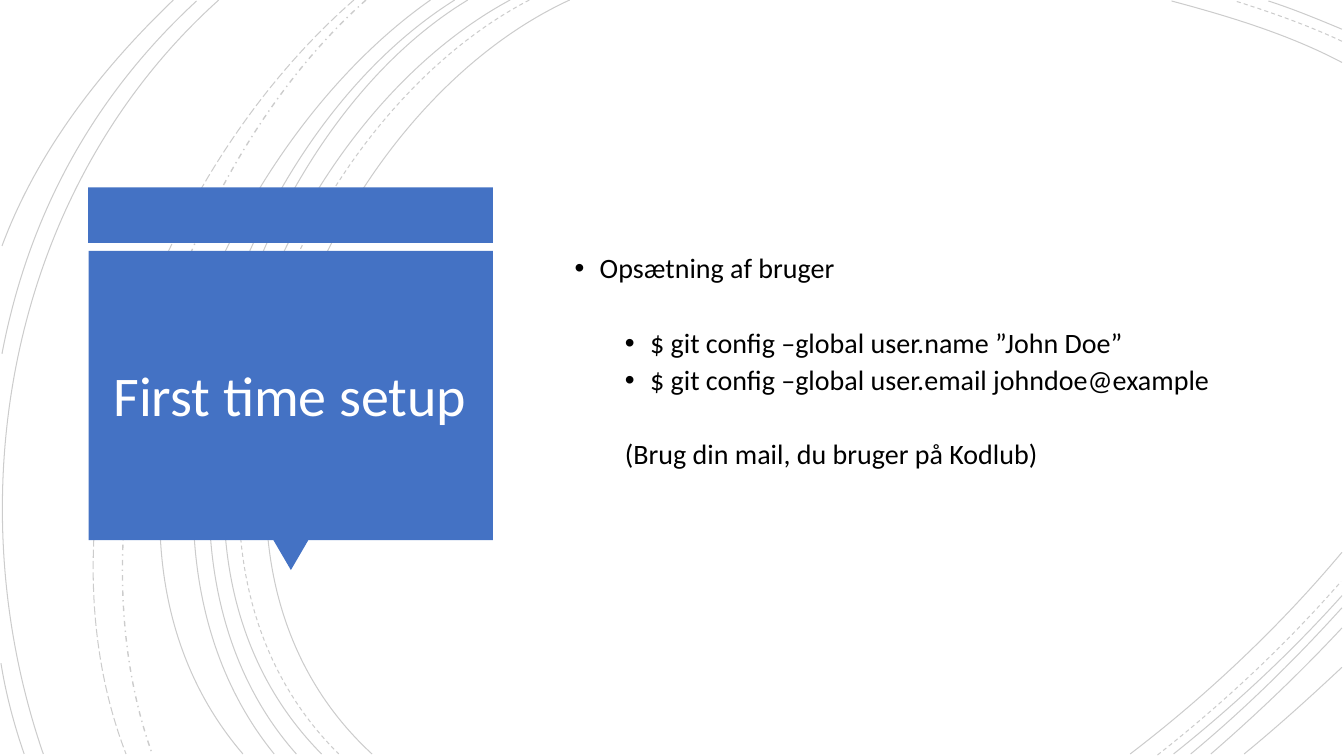
from dataclasses import dataclass
from typing import Optional

import lxml.etree
import pptx
import pptx.dml.color
import pptx.enum.dml
import pptx.enum.shapes
import pptx.enum.text
import pptx.oxml.ns
import pptx.util

BLUE = pptx.dml.color.RGBColor(0x44, 0x72, 0xC4)
BLACK = pptx.dml.color.RGBColor(0, 0, 0)
WHITE = pptx.dml.color.RGBColor(0xFF, 0xFF, 0xFF)

SLIDE_W, SLIDE_H = pptx.util.Inches(13.33), pptx.util.Inches(7.5)
COLUMNS, ROWS = 1333, 750  # fine layout grid; all places count its cells
FONT = "Calibri"
ARC_ALPHA = 20

DASH = pptx.enum.dml.MSO_LINE
SHAPE = pptx.enum.shapes.MSO_SHAPE
ALIGN = pptx.enum.text.PP_ALIGN
ANCHOR = pptx.enum.text.MSO_ANCHOR
qn = pptx.oxml.ns.qn


@dataclass
class Arc:
    """Cubic curve: start, two control points and end, as grid cells."""
    start: tuple[int, int]
    c1: tuple[int, int]
    c2: tuple[int, int]
    end: tuple[int, int]
    dash: Optional[DASH] = None
    width: float = 0.75


@dataclass
class Block:
    kind: SHAPE
    left: float
    top: float
    width: float
    height: float
    rotation: int = 0


@dataclass
class Line:
    text: str
    margin: float
    before: float
    bullet: bool = True


ARCS = [
    # inner band, left side
    Arc((565, 0), (315, 115), (143, 540), (369, 748)),
    Arc((525, 0), (285, 125), (123, 537), (336, 748), DASH.DASH),
    Arc((506, 0), (270, 127), (110, 537), (319, 748)),
    Arc((464, 0), (244, 133), (110, 541), (294, 748)),
    Arc((451, 0), (231, 138), (97, 533), (272, 748)),
    Arc((427, 0), (217, 147), (53, 529), (241, 748)),
    Arc((363, 0), (176, 166), (65, 509), (151, 748), DASH.DASH_DOT, 1),
    Arc((351, 0), (157, 169), (29, 499), (125, 748), DASH.LONG_DASH),
    # outer band, left edge
    Arc((217, 0), (11, 185), (-46, 490), (43, 748)),
    Arc((195, 1), (92, 96), (28, 214), (2, 351)),
    Arc((1, 658), (6, 689), (14, 719), (24, 748)),
    Arc((172, 0), (100, 69), (37, 150), (2, 244)),
    # top right corner
    Arc((1331, 62), (1278, 34), (1218, 16), (1162, 1)),
    Arc((1331, 41), (1297, 25), (1260, 12), (1225, 1), DASH.DASH),
    Arc((1331, 29), (1307, 19), (1283, 9), (1258, 1)),
    # bottom right corner
    Arc((1121, 748), (1197, 690), (1269, 622), (1331, 548)),
    Arc((1148, 749), (1213, 698), (1275, 640), (1330, 577), DASH.DASH),
    Arc((1164, 748), (1223, 701), (1280, 648), (1331, 591)),
    Arc((1181, 748), (1234, 704), (1284, 655), (1331, 603)),
    Arc((1201, 748), (1246, 709), (1290, 667), (1331, 623)),
    Arc((1234, 748), (1267, 721), (1299, 692), (1331, 662)),
]

CALLOUT = [
    Block(SHAPE.RECTANGLE, 87.5, 186, 401.5, 55),
    Block(SHAPE.ISOSCELES_TRIANGLE, 271, 535.5, 35, 30, 180),
    Block(SHAPE.RECTANGLE, 88, 249, 401, 287),
]

# A gap is one skipped 20 pt line plus the usual 5 pt.
STEP, GAP = 5, 31.5
BODY = [
    Line("Opsætning af bruger", 0.25, 10),
    Line("$ git config –global user.name ”John Doe”", 0.75, GAP),
    Line("$ git config –global user.email johndoe@example", 0.75, STEP),
    Line("(Brug din mail, du bruger på Kodlub)", 0.5, GAP, bullet=False),
]


def col(n: float) -> int:
    return round(SLIDE_W * n / COLUMNS)


def row(n: float) -> int:
    return round(SLIDE_H * n / ROWS)


def draw_arc(s: pptx.slide.Slide, arc: Arc) -> None:
    """Draw the control polygon, then turn its three sides into one curve."""
    knots = [(col(x), row(y)) for x, y in (arc.start, arc.c1, arc.c2, arc.end)]
    builder = s.shapes.build_freeform(*knots[0])
    builder.add_line_segments(knots[1:], close=False)
    sp = builder.convert_to_shape()
    outline = sp._element.find(".//" + qn("a:path"))
    sides = outline.findall(qn("a:lnTo"))
    curve = lxml.etree.SubElement(outline, qn("a:cubicBezTo"))
    for side in sides:
        curve.append(side[0])
        outline.remove(side)

    sp.shadow.inherit = False
    sp.fill.background()
    sp.line.width = pptx.util.Pt(arc.width)
    sp.line.color.rgb = BLACK
    if arc.dash is not None:
        sp.line.dash_style = arc.dash
    color = sp.line._get_or_add_ln().find(".//" + qn("a:srgbClr"))
    lxml.etree.SubElement(color, qn("a:alpha"), val=str(ARC_ALPHA * 1000))


def draw_block(s: pptx.slide.Slide, block: Block) -> None:
    sp = s.shapes.add_shape(block.kind, col(block.left), row(block.top),
                            col(block.width), row(block.height))
    sp.rotation = block.rotation
    sp.shadow.inherit = False
    sp.fill.solid()
    sp.fill.fore_color.rgb = BLUE
    sp.line.fill.background()


def add_frame(s: pptx.slide.Slide, left: int, top: int, width: int,
              height: int) -> pptx.text.text.TextFrame:
    tf = s.shapes.add_textbox(col(left), row(top), col(width), row(height)).text_frame
    tf.word_wrap = True
    tf.vertical_anchor = ANCHOR.MIDDLE
    return tf


def write(p: pptx.text.text._Paragraph, text: str, *, size: float,
          color: pptx.dml.color.RGBColor, align: ALIGN = ALIGN.LEFT,
          before: float = 0, margin: float = 0, bullet: bool = False) -> None:
    p.alignment = align
    p.line_spacing = 0.9
    p.space_before = pptx.util.Pt(before)
    r = p.add_run()
    r.text = text
    r.font.name = FONT
    r.font.size = pptx.util.Pt(size)
    r.font.color.rgb = color
    pPr = p._p.get_or_add_pPr()
    pPr.set("marL", str(pptx.util.Inches(margin)))
    if bullet:
        pPr.set("indent", str(pptx.util.Inches(-0.25)))
        lxml.etree.SubElement(pPr, qn("a:buFont"), typeface="Arial")
        lxml.etree.SubElement(pPr, qn("a:buChar"), char="•")


def main() -> None:
    prs = pptx.Presentation()
    prs.slide_width, prs.slide_height = SLIDE_W, SLIDE_H
    s = prs.slides.add_slide(prs.slide_layouts[6])

    for arc in ARCS:
        draw_arc(s, arc)
    for block in CALLOUT:
        draw_block(s, block)

    title = add_frame(s, 99, 264, 377, 262)
    write(title.paragraphs[0], "First time setup", size=40, color=WHITE,
          align=ALIGN.CENTER)

    body = add_frame(s, 560, 88, 687, 574)
    body.margin_bottom = row(35)
    for i, line in enumerate(BODY):
        p = body.add_paragraph() if i else body.paragraphs[0]
        write(p, line.text, size=20, color=BLACK, before=line.before,
              margin=line.margin, bullet=line.bullet)

    prs.save("out.pptx")


if __name__ == "__main__":
    main()
